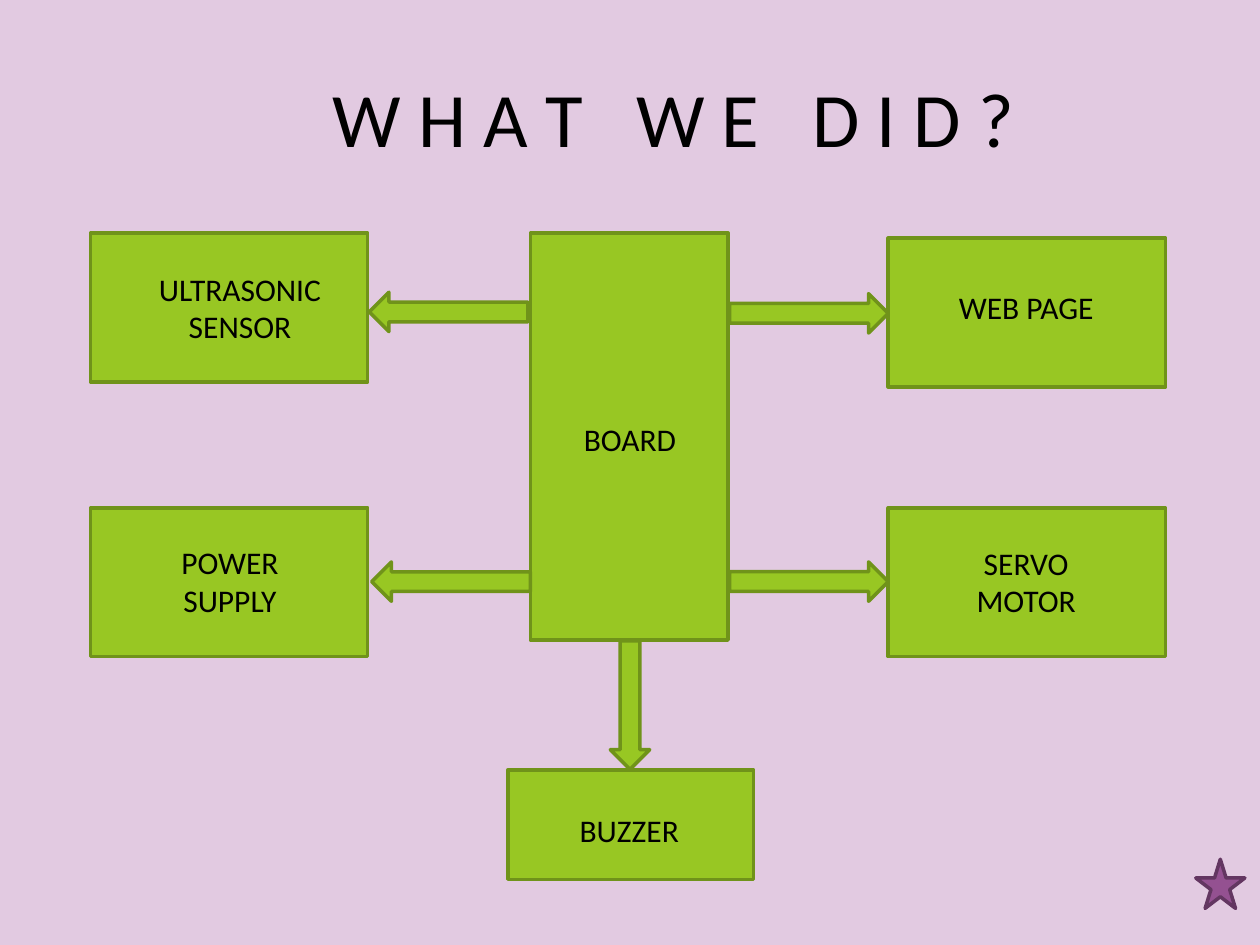
from typing import NamedTuple

from pptx import Presentation
from pptx.dml.color import RGBColor
from pptx.enum.shapes import MSO_SHAPE
from pptx.enum.text import MSO_ANCHOR, PP_ALIGN
from pptx.util import Pt

LILAC = RGBColor(0xE2, 0xCA, 0xE1)
GREEN = RGBColor(0x98, 0xC7, 0x23)
DARK_GREEN = RGBColor(0x70, 0x93, 0x1A)
PURPLE = RGBColor(0x94, 0x51, 0x91)
DARK_PURPLE = RGBColor(0x63, 0x36, 0x61)
BLACK = RGBColor(0, 0, 0)
FONT = "Calibri"

SIDE_WIDTH, SIDE_HEIGHT = 158.4, 85
LEFT_COLUMN, RIGHT_COLUMN = 51.8, 507.6
LOWER_ROW = 290.2
ONE_LINE, TWO_LINES = 28.8, 51.1
ARROW_LENGTH, ARROW_HEIGHT = 90.7, 22.5
TITLE_WORDS = ["W H A T", "W E", "D I D ?"]


class Box(NamedTuple):
    """Left, top, width and height in points."""
    left: float
    top: float
    width: float
    height: float


class Block(NamedTuple):
    text: str
    box: Box
    label: Box


class Arrow(NamedTuple):
    left: float
    top: float
    length: float = ARROW_LENGTH
    rotation: float = 0


BLOCKS = [
    Block("BOARD", Box(303.1, 133.2, 113, 232.6), Box(320.4, 236.2, 79.2, ONE_LINE)),
    Block("ULTRASONIC SENSOR", Box(LEFT_COLUMN, 133.2, SIDE_WIDTH, SIDE_HEIGHT),
          Box(69.1, 150.5, 136.1, TWO_LINES)),
    Block("POWER SUPPLY", Box(LEFT_COLUMN, LOWER_ROW, SIDE_WIDTH, SIDE_HEIGHT),
          Box(72, 306.7, 118.8, TWO_LINES)),
    Block("WEB PAGE", Box(RIGHT_COLUMN, 136.1, SIDE_WIDTH, SIDE_HEIGHT),
          Box(521.3, 161.3, 130.3, ONE_LINE)),
    Block("SERVO MOTOR", Box(RIGHT_COLUMN, LOWER_ROW, SIDE_WIDTH, SIDE_HEIGHT),
          Box(529.9, 307.1, 113, TWO_LINES)),
    Block("BUZZER", Box(290.2, 439.9, 140.4, 62.6), Box(303.1, 460.1, 113, ONE_LINE)),
]

ARROWS = [
    Arrow(416.9, 167.8),
    Arrow(416.9, 321.1),
    Arrow(211, 167, rotation=180),
    Arrow(212.4, 321.1, rotation=180),
    Arrow(323.3, 391.7, length=73.4, rotation=90),
]


def in_points(box: Box) -> list:
    return [Pt(value) for value in box]


def add_run(paragraph, text: str, size: float):
    run = paragraph.add_run()
    run.text = text
    run.font.name = FONT
    run.font.size = Pt(size)
    run.font.color.rgb = BLACK
    return run


def add_figure(slide, kind: MSO_SHAPE, box: Box, fill: RGBColor = GREEN,
               line: RGBColor = DARK_GREEN):
    shape = slide.shapes.add_shape(kind, *in_points(box))
    shape.shadow.inherit = False
    shape.fill.solid()
    shape.fill.fore_color.rgb = fill
    shape.line.color.rgb = line
    shape.line.width = Pt(2)
    return shape


def add_label(slide, text: str, box: Box) -> None:
    frame = slide.shapes.add_textbox(*in_points(box)).text_frame
    frame.word_wrap = True
    paragraph = frame.paragraphs[0]
    paragraph.alignment = PP_ALIGN.CENTER
    add_run(paragraph, text, 18)


def add_arrow(slide, arrow: Arrow) -> None:
    box = Box(arrow.left, arrow.top, arrow.length, ARROW_HEIGHT)
    add_figure(slide, MSO_SHAPE.RIGHT_ARROW, box).rotation = arrow.rotation


def format_title(title) -> None:
    """Write the spaced-out title, widening the gaps between its words."""
    title.left, title.top, title.width, title.height = in_points(Box(36, 21.6, 648, 90))
    frame = title.text_frame
    frame.word_wrap = True
    frame.vertical_anchor = MSO_ANCHOR.MIDDLE
    frame.margin_left = Pt(57)
    paragraph = frame.paragraphs[0]
    paragraph.alignment = PP_ALIGN.CENTER
    for index, word in enumerate(TITLE_WORDS):
        if index:
            gap = add_run(paragraph, " ", 44)
            gap._r.get_or_add_rPr().set("spc", "2000")
        add_run(paragraph, word, 44)


def main() -> None:
    presentation = Presentation()
    presentation.slide_width, presentation.slide_height = Pt(720), Pt(540)
    slide = presentation.slides.add_slide(presentation.slide_layouts[5])
    slide.background.fill.solid()
    slide.background.fill.fore_color.rgb = LILAC
    format_title(slide.shapes.title)

    for block in BLOCKS:
        add_figure(slide, MSO_SHAPE.RECTANGLE, block.box)
        add_label(slide, block.text, block.label)
    for arrow in ARROWS:
        add_arrow(slide, arrow)
    add_figure(slide, MSO_SHAPE.STAR_5_POINT, Box(683.3, 491, 28.1, 28.1),
               PURPLE, DARK_PURPLE)

    presentation.save("out.pptx")


if __name__ == "__main__":
    main()
